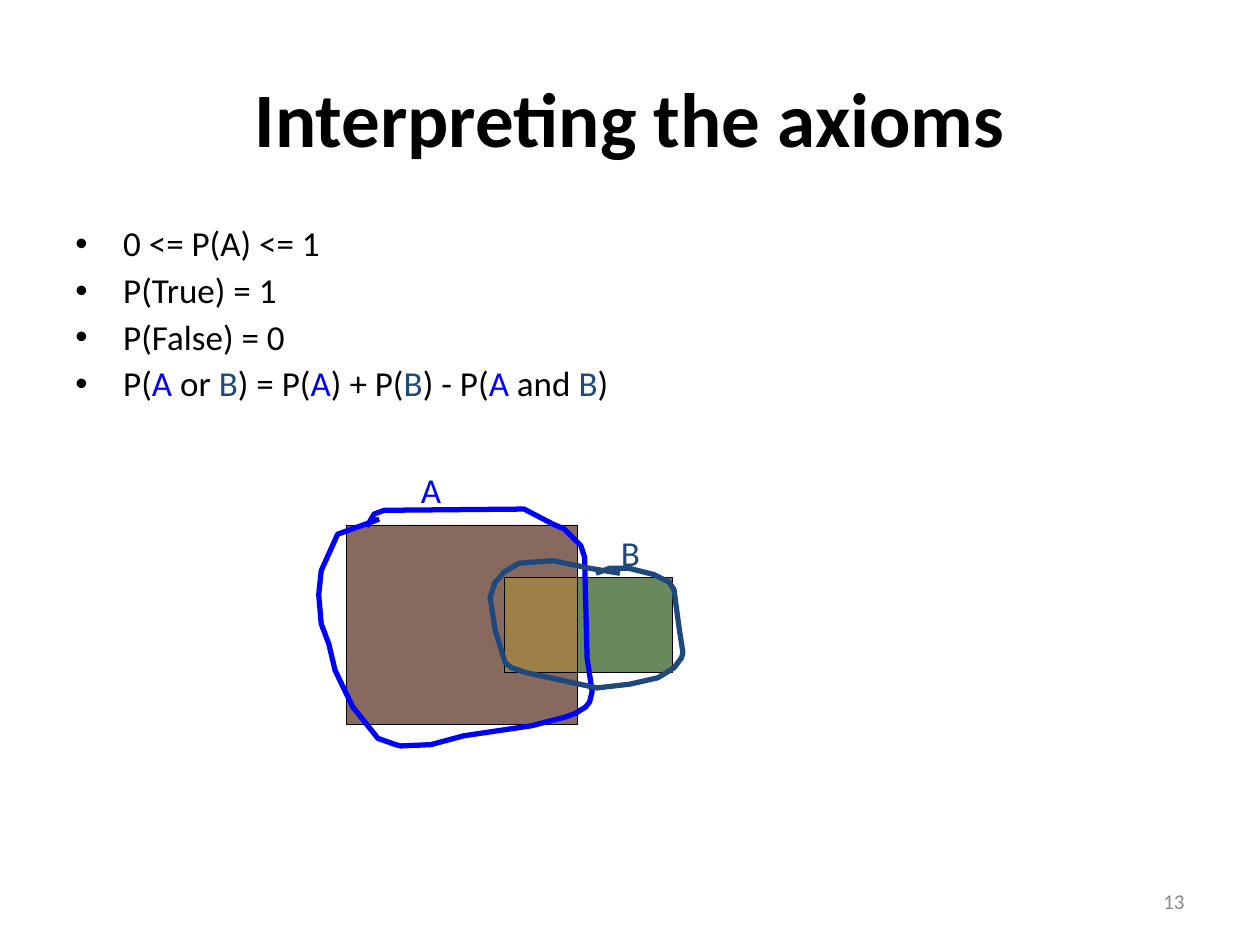
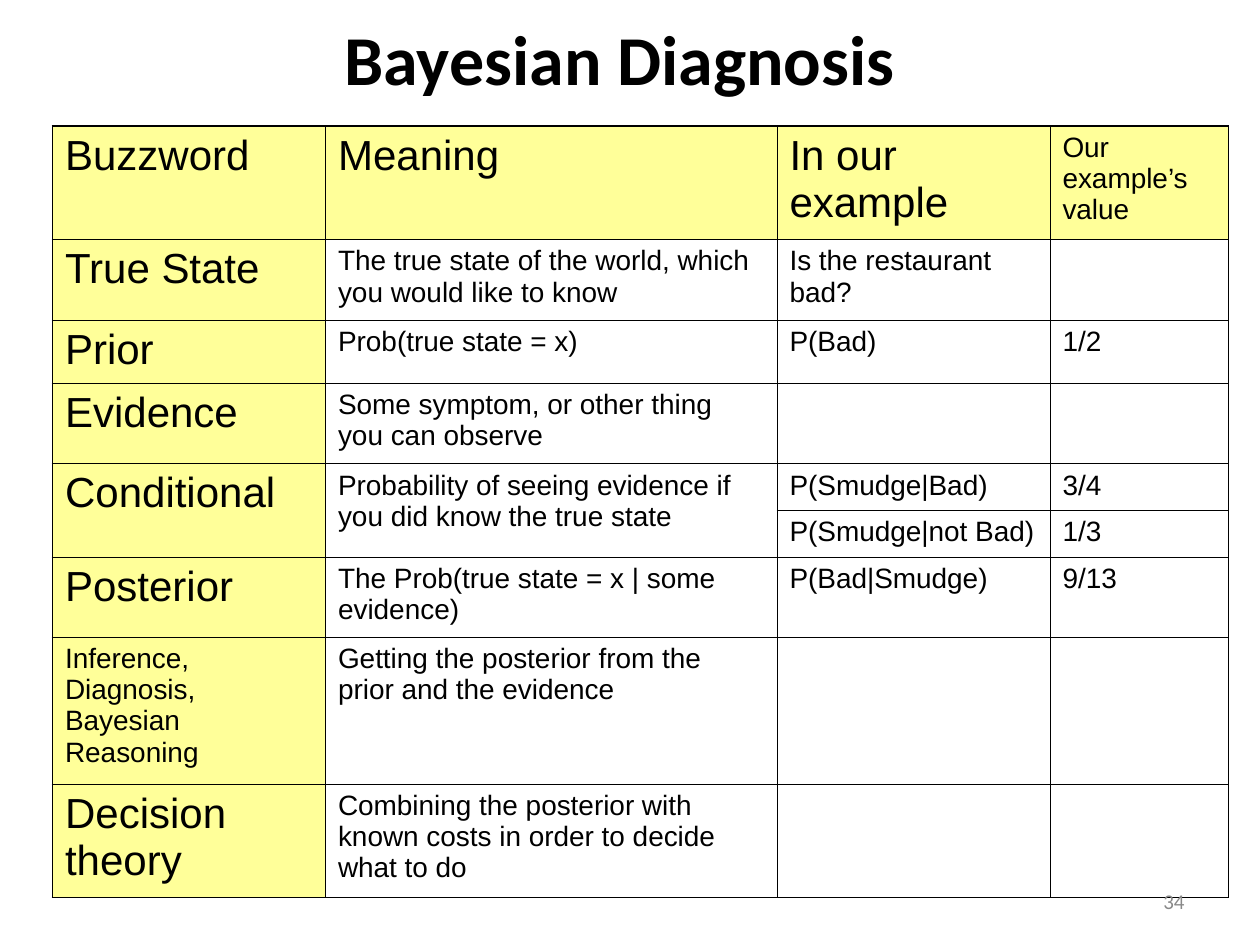
"""Build two probability slides: the axioms with an event diagram, and a Bayesian glossary table."""
from dataclasses import dataclass

from lxml.etree import SubElement
from pptx import Presentation
from pptx.dml.color import RGBColor
from pptx.enum.shapes import MSO_SHAPE
from pptx.enum.text import MSO_ANCHOR, MSO_AUTO_SIZE, PP_ALIGN
from pptx.oxml.ns import qn
from pptx.util import Inches, Pt


@dataclass(frozen=True)
class Theme:
    ink: str = "000000"
    muted: str = "898989"
    event_a: str = "0000FF"
    event_b: str = "1F497D"
    area_a: str = "876A5D"
    area_b: str = "67895B"
    area_both: str = "9D8047"
    heading_fill: str = "FFFF99"
    text_font: str = "Calibri"
    table_font: str = "Arial"
    title_size: int = 44
    compact_title_size: int = 40
    body_size: int = 20
    number_size: int = 12
    heading_size: int = 24
    cell_size: int = 16
    hairline: float = 0.25
    outline: float = 3
    inner_border: float = 0.45
    outer_border: float = 1.08


COLUMNS, ROWS = 120, 90
HEADING_LIMIT = 16

AXIOMS = ["0 <= P(A) <= 1", "P(True) = 1", "P(False) = 0",
          "P(|A| or |B|) = P(|A|) + P(|B|) - P(|A| and |B|)"]

OUTLINE_A = [
    (301, 412), (268, 424), (255, 453), (253, 472), (255, 495), (261, 511), (266, 532),
    (280, 561), (300, 586), (314, 591), (318, 592), (342, 591), (368, 584), (422, 576),
    (449, 569), (457, 566), (465, 561), (468, 557), (470, 549), (466, 522), (464, 442),
    (461, 433), (454, 426), (448, 420), (439, 416), (416, 404), (305, 405), (297, 408),
    (291, 418)]
OUTLINE_B = [
    (492, 455), (468, 451), (439, 445), (412, 447), (400, 454), (397, 458), (393, 462),
    (389, 474), (393, 500), (401, 526), (406, 530), (418, 534), (474, 546), (500, 543),
    (522, 538), (527, 535), (535, 530), (541, 522), (542, 518), (539, 498), (536, 476),
    (535, 468), (531, 462), (519, 456), (499, 451), (484, 451), (473, 455)]

GLOSSARY_COLUMNS = [26, 43, 26, 17]
GLOSSARY_ROWS = [10.8, 7.7, 6, 7.65, 4.45, 4.45, 7.65, 14, 10.8]
GLOSSARY = [
    ["Buzzword", "Meaning", "In our example", "Our example’s value"],
    ["True State", "The true state of the world, which you would like to know",
     "Is the restaurant bad?", ""],
    ["Prior", "Prob(true state = x)", "P(Bad)", "1/2"],
    ["Evidence", "Some symptom, or other thing you can observe", "", ""],
    ["Conditional", "Probability of seeing evidence if you did know the true state",
     "P(Smudge|Bad)", "3/4"],
    ["", "", "P(Smudge|not Bad)", "1/3"],
    ["Posterior", "The Prob(true state = x | some evidence)", "P(Bad|Smudge)", "9/13"],
    ["Inference, Diagnosis, Bayesian Reasoning",
     "Getting the posterior from the prior and the evidence", "", ""],
    ["Decision theory",
     "Combining the posterior with known costs in order to decide what to do", "", ""]]


class SlideWriter:
    """Draw styled elements on the current page of a deck."""

    def __init__(self, deck, theme):
        self.deck = deck
        self.theme = theme
        self.page = None

    def place(self, left, top, width, height):
        column = self.deck.slide_width / COLUMNS
        row = self.deck.slide_height / ROWS
        return [round(value * unit) for value, unit in
                zip((left, top, width, height), (column, row, column, row))]

    def format_span(self, span, size, color=None, font=None, bold=False):
        span.font.size = Pt(size)
        span.font.name = font or self.theme.text_font
        span.font.bold = bold
        span.font.color.rgb = RGBColor.from_string(color or self.theme.ink)

    def start_page(self, title, area, size, number):
        self.page = self.deck.slides.add_slide(self.deck.slide_layouts[5])
        holder = self.page.shapes.title
        holder.left, holder.top, holder.width, holder.height = self.place(*area)
        frame = holder.text_frame
        frame.text = title
        frame.auto_size = MSO_AUTO_SIZE.NONE
        frame.vertical_anchor = MSO_ANCHOR.MIDDLE
        frame.paragraphs[0].alignment = PP_ALIGN.CENTER
        self.format_span(frame.paragraphs[0].runs[0], size, bold=True)
        self.number = number

    def finish_page(self):
        self.label(self.number, (86, 83.4, 28, 4.8), self.theme.number_size,
                   self.theme.muted, PP_ALIGN.RIGHT, MSO_ANCHOR.MIDDLE)

    def label(self, text, area, size, color, align=PP_ALIGN.CENTER, anchor=MSO_ANCHOR.TOP):
        box = self.page.shapes.add_textbox(*self.place(*area))
        frame = box.text_frame
        frame.word_wrap = align != PP_ALIGN.CENTER
        frame.vertical_anchor = anchor
        frame.text = text
        frame.paragraphs[0].alignment = align
        self.format_span(frame.paragraphs[0].runs[0], size, color)

    def bullets(self, lines, area, colors):
        frame = self.page.shapes.add_textbox(*self.place(*area)).text_frame
        frame.word_wrap = True
        for index, line in enumerate(lines):
            para = frame.add_paragraph() if index else frame.paragraphs[0]
            properties = para._p.get_or_add_pPr()
            properties.set("marL", str(Inches(0.38)))
            properties.set("indent", str(-Inches(0.38)))
            tint = SubElement(properties, qn("a:buClr"))
            SubElement(tint, qn("a:srgbClr"), val=self.theme.ink)
            SubElement(properties, qn("a:buFont"), typeface=self.theme.table_font)
            SubElement(properties, qn("a:buChar"), char="•")
            para.line_spacing = 0.9
            para.space_before = Pt(5 if index else 0)
            for piece in line.split("|"):
                span = para.add_run()
                span.text = piece
                self.format_span(span, self.theme.body_size, colors.get(piece))

    def rectangle(self, area, fill):
        shape = self.page.shapes.add_shape(MSO_SHAPE.RECTANGLE, *self.place(*area))
        shape.shadow.inherit = False
        shape.fill.solid()
        shape.fill.fore_color.rgb = RGBColor.from_string(fill)
        self.stroke(shape, self.theme.ink, self.theme.hairline)

    def stroke(self, shape, color, width):
        shape.line.color.rgb = RGBColor.from_string(color)
        shape.line.width = Pt(width)

    def outline(self, points, color):
        builder = self.page.shapes.build_freeform(*points[0], scale=self.deck.slide_width / 1000)
        builder.add_line_segments(points[1:], close=False)
        shape = builder.convert_to_shape()
        shape.shadow.inherit = False
        shape.fill.background()
        self.stroke(shape, color, self.theme.outline)

    def border(self, cell, outer_edges):
        properties = cell._tc.get_or_add_tcPr()
        for edge, is_outer in zip("LRTB", outer_edges):
            width = self.theme.outer_border if is_outer else self.theme.inner_border
            line = SubElement(properties, qn(f"a:ln{edge}"), w=str(Pt(width)))
            paint = SubElement(line, qn("a:solidFill"))
            SubElement(paint, qn("a:srgbClr"), val=self.theme.ink)

    def fill_cell(self, cell, text, is_heading):
        if is_heading:
            cell.fill.solid()
            cell.fill.fore_color.rgb = RGBColor.from_string(self.theme.heading_fill)
        else:
            cell.fill.background()
        if not text:
            cell.margin_top = cell.margin_bottom = 0
            return
        cell.text_frame.text = text
        is_large = is_heading and len(text) <= HEADING_LIMIT
        size = self.theme.heading_size if is_large else self.theme.cell_size
        self.format_span(cell.text_frame.paragraphs[0].runs[0], size, font=self.theme.table_font)

    def table(self, values, left, top, widths, heights, merges):
        area = self.place(left, top, sum(widths), sum(heights))
        table = self.page.shapes.add_table(len(heights), len(widths), *area).table
        table.first_row = table.horz_banding = False
        for column, width in zip(table.columns, widths):
            column.width = self.place(0, 0, width, 0)[2]
        for row, height in zip(table.rows, heights):
            row.height = self.place(0, 0, 0, height)[3]
        last_row, last_column = len(heights) - 1, len(widths) - 1
        for row, texts in enumerate(values):
            for column, text in enumerate(texts):
                cell = table.cell(row, column)
                self.border(cell, (column == 0, column == last_column, row == 0, row == last_row))
                self.fill_cell(cell, text, row == 0 or column == 0)
        for first, last in merges:
            table.cell(*first).merge(table.cell(*last))


def axioms_page(writer):
    theme = writer.theme
    writer.start_page("Interpreting the axioms", (6, 3.6, 108, 15), theme.title_size, "13")
    writer.bullets(AXIOMS, (6, 21, 62.4, 18.6), {"A": theme.event_a, "B": theme.event_b})
    area_a, area_b = (33, 50, 22, 19), (48, 55, 16, 9)
    overlap = (area_b[0], area_b[1], area_a[0] + area_a[2] - area_b[0], area_b[3])
    for area, fill in ((area_a, theme.area_a), (area_b, theme.area_b), (overlap, theme.area_both)):
        writer.rectangle(area, fill)
    for name, points, corner, color in (("A", OUTLINE_A, (38.9, 44), theme.event_a),
                                        ("B", OUTLINE_B, (57.9, 50), theme.event_b)):
        writer.outline(points, color)
        writer.label(name, (*corner, 4.3, 5.3), theme.body_size, color)
    writer.finish_page()


def diagnosis_page(writer):
    writer.start_page("Bayesian Diagnosis", (3, 1, 112, 9), writer.theme.compact_title_size, "34")
    merges = [((4, column), (5, column)) for column in (0, 1)]
    writer.table(GLOSSARY, 5, 12, GLOSSARY_COLUMNS, GLOSSARY_ROWS, merges)
    writer.finish_page()


def main():
    deck = Presentation()
    deck.slide_width, deck.slide_height = Inches(10), Inches(7.5)
    writer = SlideWriter(deck, Theme())
    axioms_page(writer)
    diagnosis_page(writer)
    deck.save("out.pptx")


if __name__ == "__main__":
    main()
